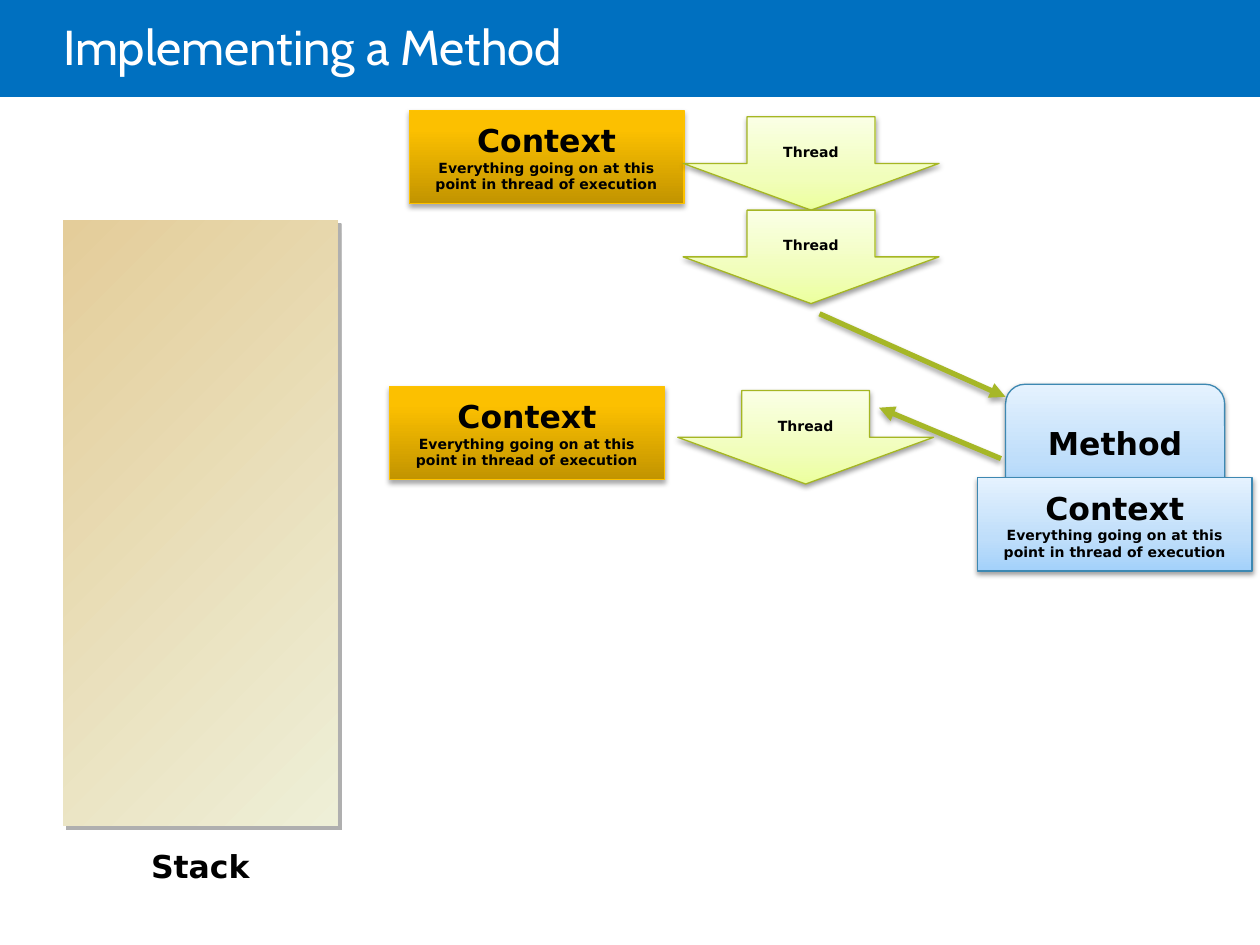
from lxml import etree
from pptx import Presentation
from pptx.dml.color import RGBColor
from pptx.enum.shapes import MSO_CONNECTOR, MSO_SHAPE
from pptx.enum.text import MSO_ANCHOR, MSO_AUTO_SIZE, PP_ALIGN
from pptx.oxml.ns import qn
from pptx.util import Pt

RECT = MSO_SHAPE.RECTANGLE
ROUND_RECT = MSO_SHAPE.ROUNDED_RECTANGLE
DOWN_ARROW = MSO_SHAPE.DOWN_ARROW
STRAIGHT = MSO_CONNECTOR.STRAIGHT
MIDDLE = MSO_ANCHOR.MIDDLE
NO_FIT = MSO_AUTO_SIZE.NONE
FIT_SHAPE = MSO_AUTO_SIZE.SHAPE_TO_FIT_TEXT
LEFT = PP_ALIGN.LEFT
CENTER = PP_ALIGN.CENTER

COLORS = {
    "header": "0070C0",
    "white": "FFFFFF",
    "text": "000000",
    "stack_shadow": "AFAFAF",
    "gold_line": "FEC200",
    "green_line": "A5B623",
    "blue_line": "3D88B2",
    "connector": "A6B727",
}
GRADIENTS = {
    "stack": [(0, "E4CD9A"), (100, "EEEFD7")],
    "gold": [(0, "C29400"), (80, "FCC000"), (100, "FDC100")],
    "green": [(0, "ECFF9E"), (35, "F1FEBB"), (100, "FAFFE5")],
    "blue": [(0, "A3D1FA"), (35, "BFDEFA"), (100, "E5F2FE")],
}
TITLE_FONT = "Cabin"
BODY_FONT = "DejaVu Sans"
BOX_W, BOX_H = 157, 53.4
ARROW_W = 146.2
THREAD = [("Thread", 8)]
METHOD = [("Method", 18)]
CONTEXT = [
    ("Context", 18),
    ("Everything going on at this point in thread of execution", 8),
]


def rgb(name):
    return RGBColor.from_string(COLORS[name])


def add_run(p, text, size, font=BODY_FONT, color="text", bold=True):
    r = p.add_run()
    r.text = text
    r.font.name = font
    r.font.size = Pt(size)
    r.font.bold = bold
    r.font.color.rgb = rgb(color)


def add_color(parent, value):
    return etree.SubElement(parent, qn("a:srgbClr"), val=value)


def set_gradient(sp, name, angle):
    sp.fill.gradient()
    sp.fill.gradient_angle = angle
    stops = sp._element.spPr.xpath(".//a:gsLst")[0]
    for stop in list(stops):
        stops.remove(stop)
    for position, value in GRADIENTS[name]:
        stop = etree.SubElement(stops, qn("a:gs"), pos=str(position * 1000))
        add_color(stop, value)


def set_shadow(sp, color="text", alpha=38, blur=3.1, distance=1.6, angle=90):
    effects = sp._element.spPr.get_or_add_effectLst()
    shadow = etree.SubElement(
        effects, qn("a:outerShdw"),
        blurRad=str(Pt(blur)), dist=str(Pt(distance)),
        dir=str(angle * 60000), algn="ctr", rotWithShape="0")
    clr = add_color(shadow, COLORS[color])
    etree.SubElement(clr, qn("a:alpha"), val=str(alpha * 1000))


def add_header(s):
    sp = s.shapes.add_shape(RECT, 0, 0, Pt(720), Pt(55.4))
    sp.fill.solid()
    sp.fill.fore_color.rgb = rgb("header")
    sp.line.fill.background()
    sp.shadow.inherit = False
    s.shapes._spTree.insert(2, sp._element)


def add_title(s, text):
    sp = s.shapes.title
    sp.left, sp.top, sp.width, sp.height = Pt(36), Pt(0), Pt(612), Pt(58.3)
    tf = sp.text_frame
    tf.auto_size = NO_FIT
    tf.vertical_anchor = MIDDLE
    tf.margin_left = 0
    p = tf.paragraphs[0]
    p.alignment = LEFT
    p.line_spacing = 0.85
    add_run(p, text, 28, TITLE_FONT, "white", False)


def add_stack(s):
    sp = s.shapes.add_shape(RECT, Pt(36), Pt(126), Pt(BOX_W), Pt(346))
    set_gradient(sp, "stack", 315)
    sp.line.fill.background()
    set_shadow(sp, "stack_shadow", 100, 0, 2.8, 45)

    label = s.shapes.add_textbox(Pt(79.2), Pt(480.2), Pt(70.6), Pt(29))
    tf = label.text_frame
    tf.word_wrap = False
    tf.auto_size = FIT_SHAPE
    add_run(tf.paragraphs[0], "Stack", 18)


def add_block(s, kind, palette, lines, left, top, width, height=BOX_H):
    sp = s.shapes.add_shape(kind, Pt(left), Pt(top), Pt(width), Pt(height))
    set_gradient(sp, palette, 90)
    sp.line.color.rgb = rgb(palette + "_line")
    sp.line.width = Pt(0.75)
    if palette == "gold":
        set_shadow(sp, alpha=35, distance=1.8)
    else:
        set_shadow(sp)
    tf = sp.text_frame
    tf.word_wrap = True
    tf.vertical_anchor = MIDDLE
    tf.margin_left = tf.margin_right = Pt(14.4)
    for i, (text, size) in enumerate(lines):
        p = tf.add_paragraph() if i else tf.paragraphs[0]
        p.alignment = CENTER
        add_run(p, text, size)


def add_context(s, palette, left, top):
    add_block(s, RECT, palette, CONTEXT, left, top, BOX_W)


def add_thread(s, left, top):
    add_block(s, DOWN_ARROW, "green", THREAD, left, top, ARROW_W)


def add_arrow(s, x1, y1, x2, y2):
    cxn = s.shapes.add_connector(STRAIGHT, Pt(x1), Pt(y1), Pt(x2), Pt(y2))
    cxn.line.color.rgb = rgb("connector")
    cxn.line.width = Pt(3)
    etree.SubElement(cxn.line._get_or_add_ln(), qn("a:tailEnd"), type="triangle")
    set_shadow(cxn, alpha=35, distance=1.8)


def main():
    prs = Presentation()
    prs.slide_width, prs.slide_height = Pt(720), Pt(540)
    s = prs.slides.add_slide(prs.slide_layouts[5])
    add_header(s)
    add_title(s, "Implementing a Method")
    add_stack(s)
    add_context(s, "gold", 233.8, 63)
    for i in range(2):
        add_thread(s, 390.4, 66.7 + i * BOX_H)
    add_context(s, "gold", 222.6, 220.7)
    add_block(s, ROUND_RECT, "blue", METHOD, 574.6, 219.6, 125.2, 66.5)
    add_arrow(s, 468.3, 179.3, 574.6, 226.8)
    add_context(s, "blue", 558.5, 272.9)
    add_arrow(s, 572, 262.1, 502.3, 233)
    add_thread(s, 387.3, 223.2)
    prs.save("out.pptx")


if __name__ == "__main__":
    main()
